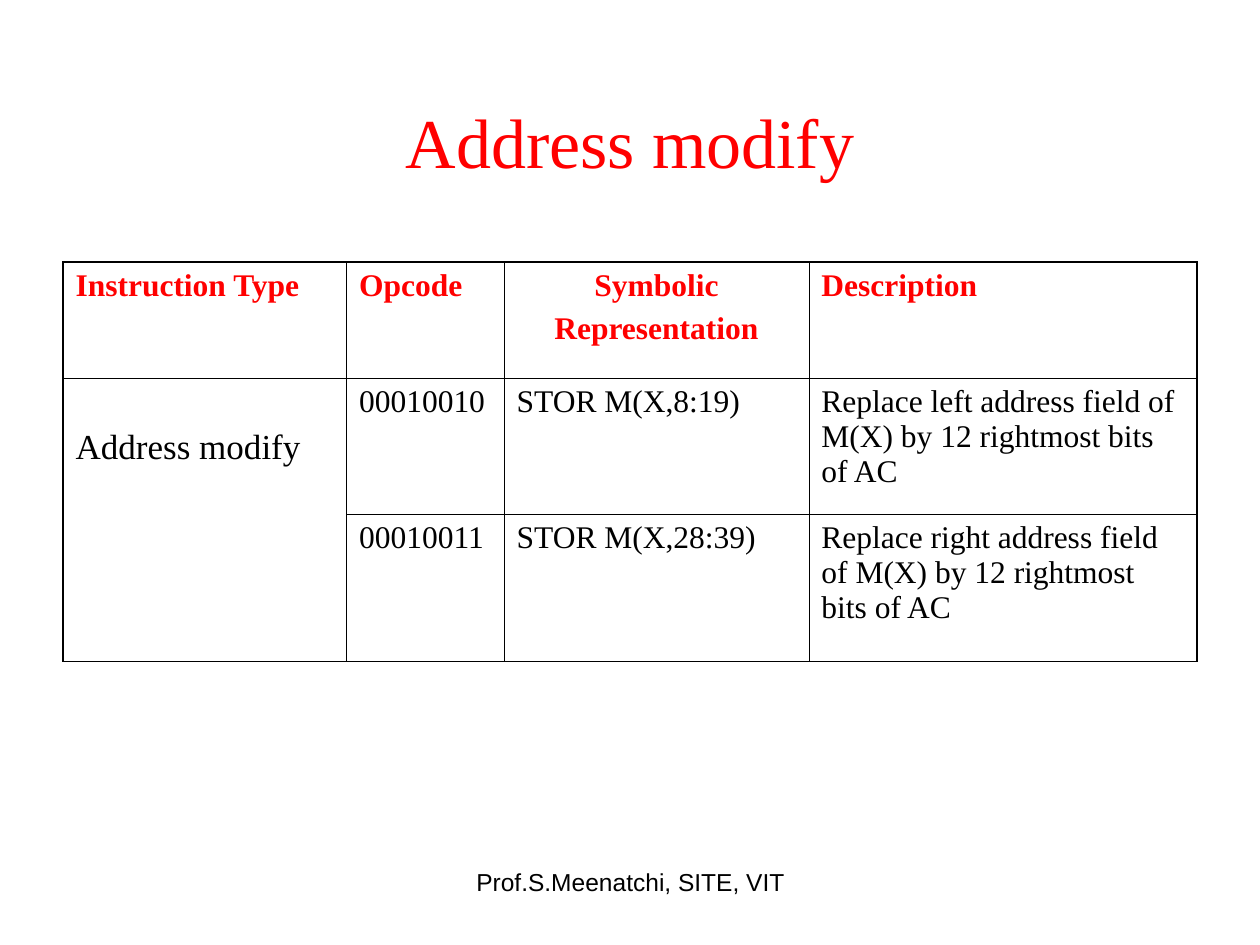
import pptx
import pptx.dml.color
import pptx.enum.text
import pptx.oxml
import pptx.oxml.ns
import pptx.util
from dataclasses import dataclass

Inch = pptx.util.Inches
Pt = pptx.util.Pt
Align = pptx.enum.text.PP_ALIGN
Anchor = pptx.enum.text.MSO_ANCHOR


@dataclass(frozen=True)
class Theme:
    red: str = "FF0000"
    black: str = "000000"
    serif: str = "Times New Roman"
    sans: str = "Arial"
    title: float = 40
    group: float = 20
    cell: float = 18
    foot: float = 14
    gap: float = 4.5
    thin: float = 0.45
    thick: float = 1.08


THEME = Theme()
COLS = (2.25, 1.25, 2.42, 3.08)
ROWS = (0.92, 1.08, 1.17)
DATA = (
    ("Instruction Type", "Opcode", "Symbolic\nRepresentation", "Description"),
    ("Address modify", "00010010", "STOR M(X,8:19)",
     "Replace left address field of M(X) by 12 rightmost bits of AC"),
    ("", "00010011", "STOR M(X,28:39)",
     "Replace right address field of M(X) by 12 rightmost bits of AC"),
)


def write(frame, text, size, color, face, align=Align.LEFT, bold=False):
    """Fill a text frame, one paragraph a line."""
    frame.text = text
    frame.word_wrap = True
    for num, para in enumerate(frame.paragraphs):
        para.alignment = align
        para.space_before = Pt(THEME.gap if num else 0)
        font = para.font
        font.name, font.size, font.bold = face, Pt(size), bold
        font.color.rgb = pptx.dml.color.RGBColor.from_string(color)


def edge(cell, side, width):
    """Draw one border line of a cell."""
    line = pptx.oxml.parse_xml(
        f'<a:ln{side} {pptx.oxml.ns.nsdecls("a")} w="{Pt(width)}">'
        f'<a:solidFill><a:srgbClr val="{THEME.black}"/></a:solidFill>'
        f'</a:ln{side}>')
    cell._tc.get_or_add_tcPr().append(line)


def add_title(slide, text):
    title = slide.shapes.title
    title.left, title.top = Inch(0.5), Inch(0.25)
    title.width, title.height = Inch(9), Inch(1.25)
    write(title.text_frame, text, THEME.title, THEME.red, THEME.serif,
          Align.CENTER)
    title.text_frame.vertical_anchor = Anchor.BOTTOM


def add_grid(slide):
    shape = slide.shapes.add_table(
        len(ROWS), len(COLS), Inch(0.5), Inch(2.08),
        Inch(sum(COLS)), Inch(sum(ROWS)))
    table = shape.table
    table.first_row = table.horz_banding = False
    for col, width in zip(table.columns, COLS):
        col.width = Inch(width)
    for row, height in zip(table.rows, ROWS):
        row.height = Inch(height)

    for r, texts in enumerate(DATA):
        for c, text in enumerate(texts):
            cell = table.cell(r, c)
            # Outer lines are thick, inner lines thin
            outer = {"L": c == 0, "R": c == len(COLS) - 1,
                     "T": r == 0, "B": r == len(ROWS) - 1}
            for side, out in outer.items():
                edge(cell, side, THEME.thick if out else THEME.thin)
            cell.fill.background()
            if not text:
                continue
            head, group = r == 0, r > 0 and c == 0
            write(cell.text_frame, text,
                  THEME.group if group else THEME.cell,
                  THEME.red if head else THEME.black, THEME.serif,
                  Align.CENTER if head and c == 2 else Align.LEFT, head)

    # The group name spans both instructions, one line down
    group = table.cell(1, 0)
    group.merge(table.cell(2, 0))
    group.margin_top = Inch(0.4)


def add_foot(slide, text):
    box = slide.shapes.add_textbox(
        Inch(3.42), Inch(6.83), Inch(3.17), Inch(0.52))
    write(box.text_frame, text, THEME.foot, THEME.black, THEME.sans,
          Align.CENTER)


def main():
    deck = pptx.Presentation()
    deck.slide_width, deck.slide_height = Inch(10), Inch(7.5)
    slide = deck.slides.add_slide(deck.slide_layouts[5])
    add_title(slide, "Address modify")
    add_grid(slide)
    add_foot(slide, "Prof.S.Meenatchi, SITE, VIT")
    deck.save("out.pptx")


if __name__ == "__main__":
    main()
